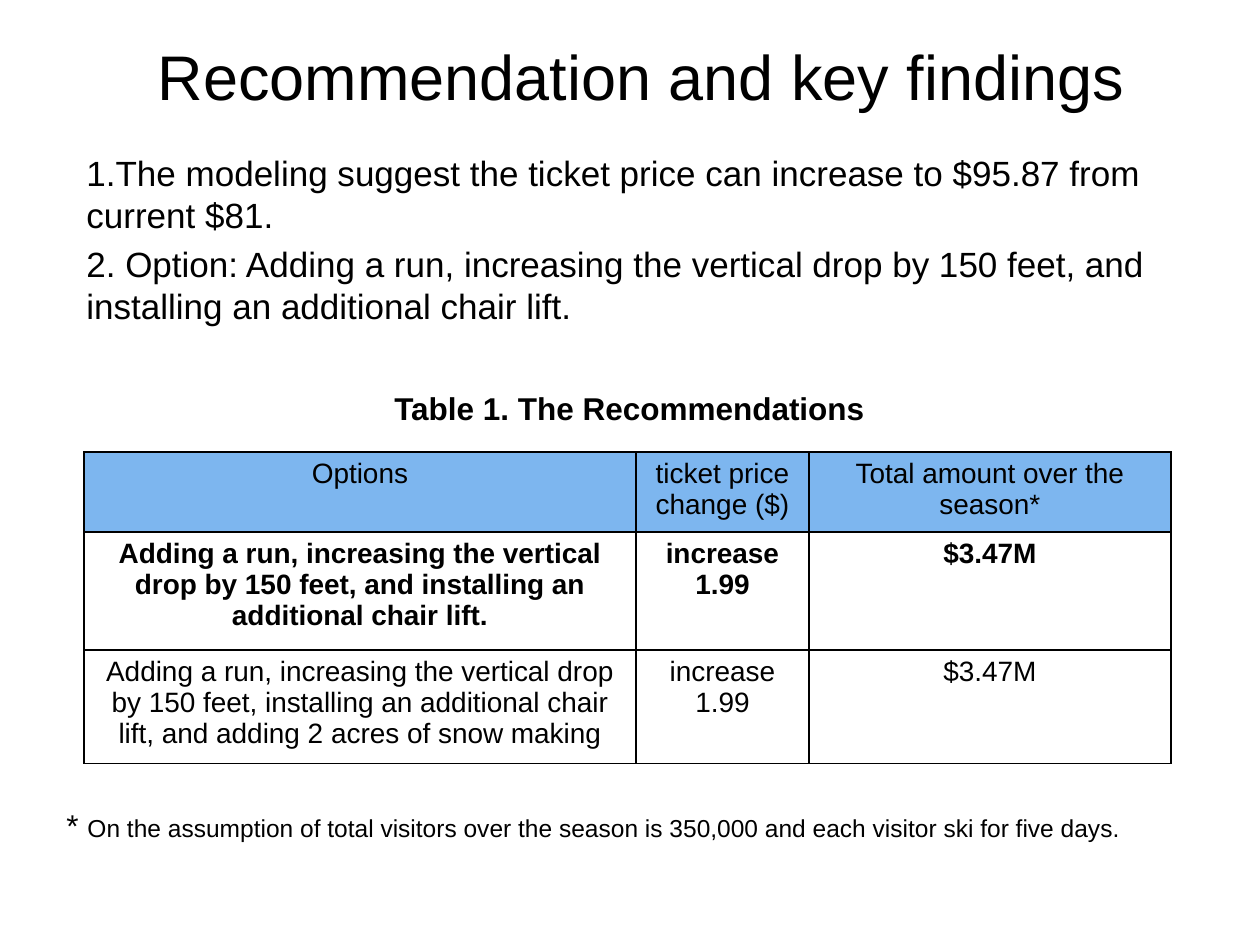
from lxml.etree import SubElement
from pptx import Presentation
from pptx.dml.color import RGBColor
from pptx.enum.text import MSO_ANCHOR, PP_ALIGN
from pptx.oxml.ns import qn
from pptx.util import Pt

SCALE = 914400 / 126
BLACK = RGBColor(0, 0, 0)
HEADER_BLUE = RGBColor(0x7D, 0xB6, 0xEF)
FONT = "Arial"


def emu(pixels):
    return round(pixels * SCALE)


def add_span(para, text, size, **extra):
    span = para.add_run()
    span.text = text
    span.font.color.rgb = BLACK
    for name, value in {"name": FONT, "size": Pt(size), **extra}.items():
        setattr(span.font, name, value)


def add_text(page, box, paras, anchor=MSO_ANCHOR.TOP, **para_format):
    """Each paragraph is a list of (text, size, font values)."""
    frame = page.shapes.add_textbox(*map(emu, box)).text_frame
    frame.word_wrap = True
    frame.vertical_anchor = anchor
    for index, spans in enumerate(paras):
        para = frame.add_paragraph() if index else frame.paragraphs[0]
        for name, value in para_format.items():
            setattr(para, name, value)
        for text, size, extra in spans:
            add_span(para, text, size, **extra)


def add_borders(cell):
    properties = cell._tc.get_or_add_tcPr()
    for position, side in enumerate(("lnL", "lnR", "lnT", "lnB")):
        line = SubElement(properties, qn(f"a:{side}"), w=str(Pt(1)))
        fill = SubElement(line, qn("a:solidFill"))
        SubElement(fill, qn("a:srgbClr"), val=str(BLACK))
        properties.remove(line)
        properties.insert(position, line)


def add_options_table(page, box, widths, heights, rows, bold_row):
    table = page.shapes.add_table(len(rows), len(widths), *map(emu, box)).table
    for column, width in zip(table.columns, widths):
        column.width = emu(width)
    for row_index, (row, height) in enumerate(zip(rows, heights)):
        table.rows[row_index].height = emu(height)
        for column_index, text in enumerate(row):
            cell = table.cell(row_index, column_index)
            if row_index == 0:
                cell.fill.solid()
                cell.fill.fore_color.rgb = HEADER_BLUE
            else:
                cell.fill.background()
            add_borders(cell)
            para = cell.text_frame.paragraphs[0]
            para.alignment = PP_ALIGN.CENTER
            add_span(para, text, 16, bold=row_index == bold_row)


def build_recommendation(page):
    # Title and findings
    add_text(page, (74, -4, 1134, 158),
             [[("Recommendation and key findings", 36, {})]],
             MSO_ANCHOR.MIDDLE, alignment=PP_ALIGN.CENTER)
    findings = [
        "1.The modeling suggest the ticket price can increase to $95.87 "
        "from current $81.",
        "2. Option: Adding a run, increasing the vertical drop by 150 feet, "
        "and installing an additional chair lift.",
    ]
    add_text(page, (74, 145, 1134, 226),
             [[(text, 20, {})] for text in findings], space_before=Pt(4))

    # Table of options with its caption
    add_text(page, (382, 383, 631, 50),
             [[("Table 1. The Recommendations", 18, {"bold": True})]])
    add_options_table(
        page, (84, 452, 1087, 304), (552, 173, 362), (80, 118, 106),
        [("Options", "ticket price change ($)", "Total amount over the season*"),
         ("Adding a run, increasing the vertical drop by 150 feet, "
          "and installing an additional chair lift.", "increase 1.99", "$3.47M"),
         ("Adding a run, increasing the vertical drop by 150 feet, installing "
          "an additional chair lift, and adding 2 acres of snow making",
          "increase 1.99", "$3.47M")],
        bold_row=1)

    # Footnote
    add_text(page, (54, 800, 1116, 89),
             [[("* ", 18, {}),
               ("On the assumption of total visitors over the season is 350,000 "
                "and each visitor ski for five days.", 14, {})]])


deck = Presentation()
deck.slide_width, deck.slide_height = emu(1260), emu(945)
build_recommendation(deck.slides.add_slide(deck.slide_layouts[6]))
deck.save("out.pptx")
